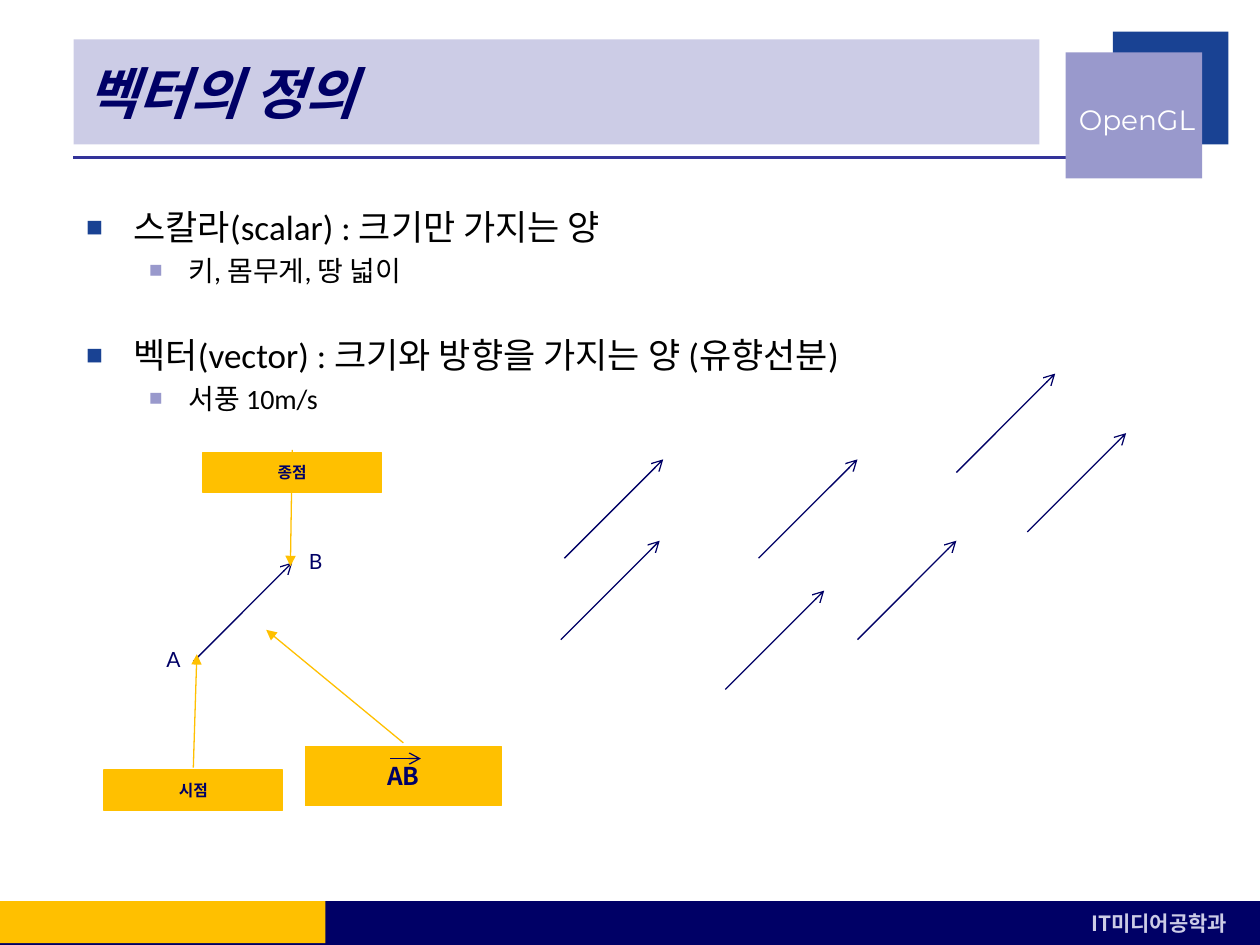
from lxml.etree import SubElement
from pptx import Presentation
from pptx.dml.color import RGBColor
from pptx.enum.shapes import MSO_CONNECTOR, MSO_SHAPE
from pptx.enum.text import MSO_ANCHOR, MSO_AUTO_SIZE, PP_ALIGN
from pptx.oxml.ns import qn
from pptx.util import Pt

COLORS = {
    "navy": "000066", "blue": "194293", "violet": "9999CC", "lilac": "CCCCE6",
    "rule": "333399", "amber": "FFC000", "white": "FFFFFF", "black": "000000",
}
KOREAN = "Noto Sans CJK KR"
FORMATS = {
    "title": dict(name="Montserrat", size=Pt(32), bold=True, italic=True),
    "term": dict(name="Calibri", size=Pt(20)),
    "example": dict(name="Calibri", size=Pt(16)),
    "department": dict(name=KOREAN, size=Pt(12), bold=True),
    "badge": dict(name="Montserrat", size=Pt(16)),
    "point": dict(name="Lato", size=Pt(12)),
    "callout": dict(name=KOREAN, size=Pt(9), bold=True),
    "vector": dict(name=KOREAN, size=Pt(14), bold=True),
}


def write(paragraph, text, style, color, align=PP_ALIGN.CENTER):
    run = paragraph.add_run()
    run.text = text
    paragraph.alignment = align
    for key, value in FORMATS[style].items():
        setattr(run.font, key, value)
    run.font.color.rgb = RGBColor.from_string(COLORS[color])


def draw_line(start, end, color="navy", width=0.75, arrow=True):
    line = slide.shapes.add_connector(
        MSO_CONNECTOR.STRAIGHT, *[Pt(v) for v in (*start, *end)])
    line.line.color.rgb = RGBColor.from_string(COLORS[color])
    line.line.width = Pt(width)
    if arrow:
        SubElement(line.line._get_or_add_ln(), qn("a:tailEnd"), type="arrow")
    SubElement(line._element.spPr, qn("a:effectLst"))


deck = Presentation()
deck.slide_width, deck.slide_height = Pt(720), Pt(540)
slide = deck.slides.add_slide(deck.slide_layouts[1])
title, body = slide.placeholders

# Title band
title.left, title.top, title.width, title.height = Pt(42), Pt(22.5), Pt(552), Pt(60)
title.fill.solid()
title.fill.fore_color.rgb = RGBColor.from_string(COLORS["lilac"])
title.text_frame.vertical_anchor = MSO_ANCHOR.MIDDLE
title.text_frame.auto_size = MSO_AUTO_SIZE.NONE
write(title.text_frame.paragraphs[0], "벡터의 정의", "title", "navy", PP_ALIGN.LEFT)

# Definitions: text, level, space before
body.left, body.top, body.width, body.height = Pt(42), Pt(114), Pt(642), Pt(372)
body.text_frame.auto_size = MSO_AUTO_SIZE.NONE
levels = [("term", "blue", 27, 27), ("example", "violet", 58.5, 22.5)]
definitions = [
    ("스칼라(scalar) : 크기만 가지는 양", 0, 4),
    ("키, 몸무게, 땅 넓이", 1, 3),
    ("벡터(vector) : 크기와 방향을 가지는 양 (유향선분)", 0, 27),
    ("서풍 10m/s", 1, 3),
]
for i, (text, level, gap) in enumerate(definitions):
    style, bullet_color, margin, hanging = levels[level]
    paragraph = body.text_frame.add_paragraph() if i else body.text_frame.paragraphs[0]
    paragraph.level = level
    paragraph.space_before = Pt(gap)
    write(paragraph, text, style, "black", PP_ALIGN.LEFT)
    props = paragraph._p.get_or_add_pPr()
    props.set("marL", str(Pt(margin)))
    props.set("indent", str(-Pt(hanging)))
    SubElement(SubElement(props, qn("a:buClr")), qn("a:srgbClr"), val=COLORS[bullet_color])
    SubElement(props, qn("a:buSzPct"), val="80000")
    SubElement(props, qn("a:buFont"), typeface="Arial")
    SubElement(props, qn("a:buChar"), char="■")

# Header rule, badge squares and footer bars
draw_line((42, 90), (612, 90), "rule", 2.25, arrow=False)
blocks = [
    (636, 18, 66, 64.5, "blue"),
    (609, 30, 78, 72, "violet"),
    (0, 515, 720, 25, "navy"),
    (0, 515, 186, 24, "amber"),
]
for *box, color in blocks:
    block = slide.shapes.add_shape(MSO_SHAPE.RECTANGLE, *[Pt(v) for v in box])
    block.shadow.inherit = False
    block.fill.solid()
    block.fill.fore_color.rgb = RGBColor.from_string(COLORS[color])
    block.line.fill.background()

# Free labels: badge, department and the two end points
labels = [
    ("OpenGL", (609, 44, 81, 48), "badge", "white", PP_ALIGN.RIGHT),
    ("IT미디어공학과", (605.5, 517, 114, 21.5), "department", "lilac", PP_ALIGN.CENTER),
    ("A", (88, 366, 21.5, 21.5), "point", "navy", PP_ALIGN.CENTER),
    ("B", (169.5, 310, 21.5, 21.5), "point", "navy", PP_ALIGN.CENTER),
]
for text, box, style, color, align in labels:
    label = slide.shapes.add_textbox(*[Pt(v) for v in box])
    label.text_frame.word_wrap = False
    label.text_frame.vertical_anchor = MSO_ANCHOR.MIDDLE
    write(label.text_frame.paragraphs[0], text, style, color, align)

# Equal vectors: every arrow rises by the same amount to the right
RISE = 56.5
starts = [(110.5, 378), (433.5, 319), (320.5, 365.5), (490, 365.5),
          (587, 304), (546.5, 270), (322.5, 319), (414.5, 394)]
for x, y in starts:
    draw_line((x, y), (x + RISE, y - RISE))

# Callouts: last pair is the pointer tip as (y, x) fractions of the box
callouts = [
    ("시점", (59.5, 440, 102, 23), "callout", (-2.88, 0.52)),
    ("종점", (116, 258.5, 102, 23), "callout", (2.83, 0.49)),
    ("AB", (174.5, 426.5, 112, 34), "vector", (-1.96, -0.2)),
]
for text, box, style, tip in callouts:
    callout = slide.shapes.add_shape(MSO_SHAPE.LINE_CALLOUT_1, *[Pt(v) for v in box])
    callout.shadow.inherit = False
    for i, value in enumerate((-0.06, 0.5, *tip)):
        callout.adjustments[i] = value
    callout.fill.solid()
    for paint in (callout.fill.fore_color, callout.line.color):
        paint.rgb = RGBColor.from_string(COLORS["amber"])
    callout.line.width = Pt(0.75)
    SubElement(callout.line._get_or_add_ln(), qn("a:tailEnd"), type="triangle")
    callout.text_frame.vertical_anchor = MSO_ANCHOR.MIDDLE
    write(callout.text_frame.paragraphs[0], text, style, "navy")

# Arrow over AB
draw_line((223, 433.5), (240.5, 433.5))

deck.save("out.pptx")
